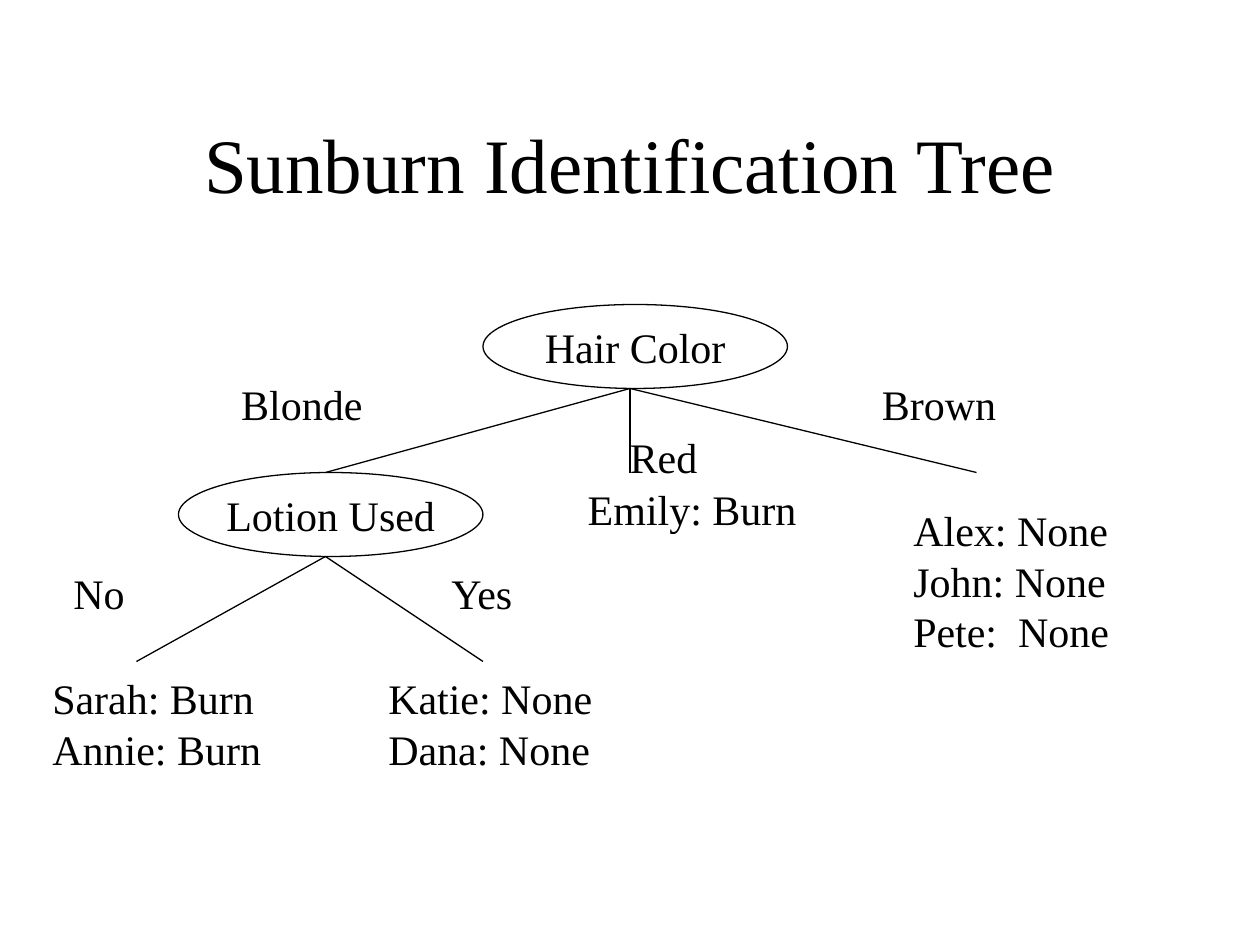
"""Build a slide with the sunburn identification tree."""
from lxml.etree import SubElement
from pptx import Presentation
from pptx.dml.color import RGBColor
from pptx.enum.shapes import MSO_CONNECTOR as CONNECTOR, MSO_SHAPE as SHAPE
from pptx.enum.text import MSO_ANCHOR as ANCHOR, MSO_AUTO_SIZE as AUTO_SIZE, PP_ALIGN as ALIGN
from pptx.oxml.ns import qn
from pptx.util import Inches, Pt

BLACK = RGBColor(0x00, 0x00, 0x00)
FONT = "Times New Roman"
COLUMNS, ROWS = 120, 90
INSET_X, INSET_Y = Inches(0.1), Inches(0.05)
LINE_HEIGHT = Inches(0.4)

deck = Presentation()
deck.slide_width, deck.slide_height = Inches(10), Inches(7.5)
slide = deck.slides.add_slide(deck.slide_layouts[5])


def grid(column, row):
    return round(deck.slide_width * column / COLUMNS), round(deck.slide_height * row / ROWS)


def write(frame, text, size, align):
    frame.text = text
    for paragraph in frame.paragraphs:
        paragraph.alignment = align
        paragraph.font.name = FONT
        paragraph.font.size = Pt(size)
        paragraph.font.color.rgb = BLACK


title = slide.shapes.title
title.left, title.top = grid(9, 8)
title.width, title.height = grid(102, 15)
title.text_frame.vertical_anchor = ANCHOR.MIDDLE
write(title.text_frame, "Sunburn Identification Tree", 44, ALIGN.CENTER)

for question, column, row in [("Hair Color", 46, 29), ("Lotion Used", 17, 45)]:
    node = slide.shapes.add_shape(SHAPE.OVAL, *grid(column, row), *grid(29, 8))
    node.shadow.inherit = False
    node.fill.background()
    node.line.color.rgb = BLACK
    node.line.width = Pt(0.75)
    node.text_frame.word_wrap = False
    node.text_frame.vertical_anchor = ANCHOR.MIDDLE
    write(node.text_frame, question, 24, ALIGN.CENTER)

branches = [
    ((60, 37), [(31, 45), (60, 45), (93, 45)]),
    ((31, 53), [(13, 63), (46, 63)]),
]
for start, ends in branches:
    for end in ends:
        branch = slide.shapes.add_connector(CONNECTOR.STRAIGHT, *grid(*start), *grid(*end))
        branch.line.color.rgb = BLACK
        branch.line.width = Pt(0.75)
        SubElement(branch._element.spPr, qn("a:effectLst"))

labels = [
    ("Blonde", 23, 36, 1.2),
    ("Red", 60, 41, 0.77),
    ("Brown", 84, 36, 1.15),
    ("Alex: None\nJohn: None\nPete:  None", 87, 48, 1.79),
    ("Emily: Burn", 56, 46, 1.9),
    ("No", 7, 54, 0.65),
    ("Yes", 43, 54, 0.76),
    ("Sarah: Burn\nAnnie: Burn", 5, 64, 1.89),
    ("Katie: None\nDana: None", 37, 64, 1.86),
]
for text, column, row, width in labels:
    left, top = grid(column, row - 0.5)
    height = LINE_HEIGHT * len(text.splitlines()) + 2 * INSET_Y
    label = slide.shapes.add_textbox(left - INSET_X, top, Inches(width), height)
    label.text_frame.word_wrap = False
    label.text_frame.auto_size = AUTO_SIZE.SHAPE_TO_FIT_TEXT
    write(label.text_frame, text, 24, ALIGN.LEFT)

deck.save("out.pptx")
